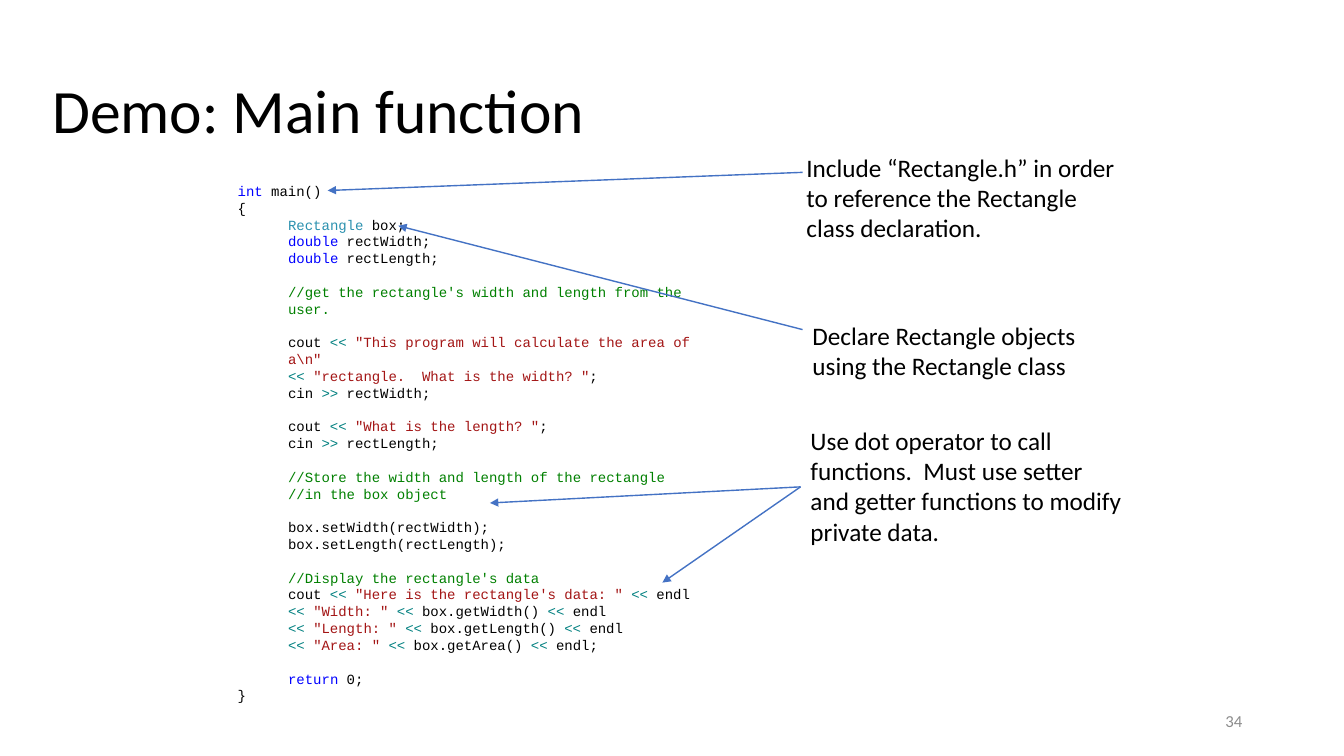
"""Build the slide that walks through the main function of the Rectangle demo."""
from pptx import Presentation
from pptx.dml.color import RGBColor
from pptx.enum.shapes import MSO_CONNECTOR
from pptx.enum.text import MSO_ANCHOR, PP_ALIGN
from pptx.oxml.ns import qn
from pptx.util import Inches, Pt
from lxml import etree

STRAIGHT = MSO_CONNECTOR.STRAIGHT
TOP, MIDDLE = MSO_ANCHOR.TOP, MSO_ANCHOR.MIDDLE
LEFT, RIGHT = PP_ALIGN.LEFT, PP_ALIGN.RIGHT

BLACK = RGBColor(0x00, 0x00, 0x00)
GREY = RGBColor(0x8C, 0x8C, 0x8C)
ARROW_BLUE = RGBColor(0x44, 0x72, 0xC4)
KEYWORD = RGBColor(0x00, 0x00, 0xFF)
TYPE = RGBColor(0x2B, 0x91, 0xAF)
COMMENT = RGBColor(0x00, 0x80, 0x00)
OPERATOR = RGBColor(0x00, 0x80, 0x80)
STRING = RGBColor(0xA3, 0x15, 0x15)

TITLE = {"size": Pt(44), "name": "Calibri"}
NUMBER = {"size": Pt(12), "name": "Calibri"}
NOTE = {"size": Pt(18), "name": "Calibri"}
CODE = {"size": Pt(10), "name": "Courier New"}

OUT = ("<< ", OPERATOR)
IN = (">> ", OPERATOR)
COUT = ("cout ", BLACK)
CIN = ("cin ", BLACK)
ENDL = ("endl", BLACK)
END = (";", BLACK)

HEADER = [[("int", KEYWORD), (" main()", BLACK)], [("{", BLACK)]]
BODY = [
    [
        [("Rectangle", TYPE), (" box;", BLACK)],
        [("double ", KEYWORD), ("rectWidth;", BLACK)],
        [("double ", KEYWORD), ("rectLength;", BLACK)],
    ],
    [[("//get the rectangle's width and length from the user.", COMMENT)]],
    [
        [COUT, OUT, ('"This program will calculate the area of a\\n"', STRING)],
        [OUT, ('"rectangle.  What is the width? "', STRING), END],
        [CIN, IN, ("rectWidth;", BLACK)],
    ],
    [
        [COUT, OUT, ('"What is the length? "', STRING), END],
        [CIN, IN, ("rectLength;", BLACK)],
    ],
    [
        [("//Store the width and length of the rectangle", COMMENT)],
        [("//in the box object", COMMENT)],
    ],
    [
        [("box.setWidth(rectWidth);", BLACK)],
        [("box.setLength(rectLength);", BLACK)],
    ],
    [
        [("//Display the rectangle's data", COMMENT)],
        [COUT, OUT, ('"Here is the rectangle\'s data: " ', STRING), OUT, ENDL],
        [OUT, ('"Width: " ', STRING), OUT, ("box.getWidth() ", BLACK), OUT, ENDL],
        [OUT, ('"Length: " ', STRING), OUT, ("box.getLength() ", BLACK), OUT, ENDL],
        [OUT, ('"Area: " ', STRING), OUT, ("box.getArea() ", BLACK), OUT, ENDL, END],
    ],
    [[("return", KEYWORD), (" 0;", BLACK)]],
]
FOOTER = [[("}", BLACK)]]

NOTES = [
    ("Include “Rectangle.h” in order to reference the Rectangle class declaration.",
     (7.9, 1.46, 3.32, 1.01)),
    ("Declare Rectangle objects using the Rectangle class",
     (7.96, 3.13, 3.32, 0.71)),
    ("Use dot operator to call functions.  Must use setter and getter functions "
     "to modify private data.", (7.94, 4.17, 3.32, 1.31)),
]
ARROWS = [
    ((7.96, 1.71), (3.25, 1.89)),
    ((7.96, 3.27), (3.95, 2.24)),
    ((7.94, 4.83), (4.86, 4.99)),
    ((7.94, 4.83), (6.57, 5.78)),
]


def add_box(slide, box, anchor=TOP):
    """Add an empty wrapping text box and return its text frame."""
    tf = slide.shapes.add_textbox(*map(Inches, box)).text_frame
    tf.word_wrap = True
    tf.vertical_anchor = anchor
    return tf


def add_run(p, text, font, color):
    """Append a formatted run to a paragraph."""
    r = p.add_run()
    r.text = text
    for key, value in font.items():
        setattr(r.font, key, value)
    r.font.color.rgb = color


def add_text(slide, text, box, font, color=BLACK, anchor=TOP, align=LEFT, spacing=1.0):
    """Add a text box with one paragraph in one style."""
    p = add_box(slide, box, anchor).paragraphs[0]
    p.alignment = align
    p.line_spacing = spacing
    add_run(p, text, font, color)


def add_lines(tf, lines, level=0, gap=0):
    """Add code lines to a frame, with a gap before the first."""
    for i, line in enumerate(lines):
        p = tf.paragraphs[0]
        if p.runs:
            p = tf.add_paragraph()
        p.level = level
        p.space_before = Pt(0 if i else gap)
        pPr = p._p.get_or_add_pPr()
        pPr.set("marL", str(Inches(0.5 * level)))
        pPr.set("indent", "0")
        for text, color in line:
            add_run(p, text, CODE, color)


def add_code(slide, box):
    """Add the listing of the main function."""
    tf = add_box(slide, box)
    add_lines(tf, HEADER)
    for i, block in enumerate(BODY):
        add_lines(tf, block, level=1, gap=12 if i else 0)
    add_lines(tf, FOOTER)


def add_arrow(slide, start, end):
    """Add a straight arrow from a note to the code."""
    sp = slide.shapes.add_connector(STRAIGHT, *map(Inches, start + end))
    sp.line.color.rgb = ARROW_BLUE
    sp.line.width = Pt(1)
    etree.SubElement(sp.line._get_or_add_ln(), qn("a:tailEnd"), type="triangle")
    etree.SubElement(sp._element.spPr, qn("a:effectLst"))


def main():
    """Build the slide and save it."""
    prs = Presentation()
    prs.slide_width, prs.slide_height = Inches(13.33), Inches(7.5)
    slide = prs.slides.add_slide(prs.slide_layouts[6])
    add_text(slide, "Demo: Main function", (0.42, 0.4, 12.5, 1.45), TITLE,
             anchor=MIDDLE, spacing=0.9)
    add_text(slide, "34", (9.42, 6.95, 3, 0.4), NUMBER, GREY, MIDDLE, RIGHT)
    add_code(slide, (2.26, 1.76, 5, 4.98))
    for text, box in NOTES:
        add_text(slide, text, box, NOTE)
    for start, end in ARROWS:
        add_arrow(slide, start, end)
    prs.save("out.pptx")


if __name__ == "__main__":
    main()
